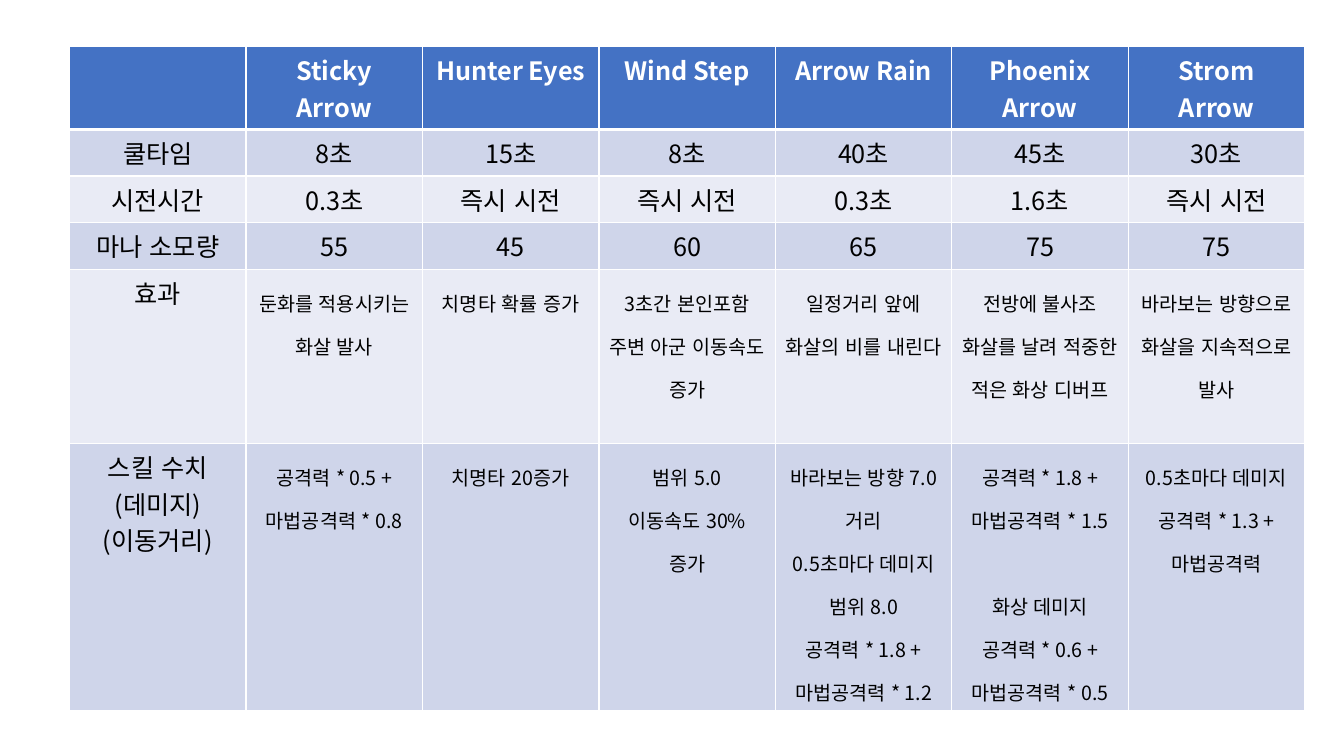
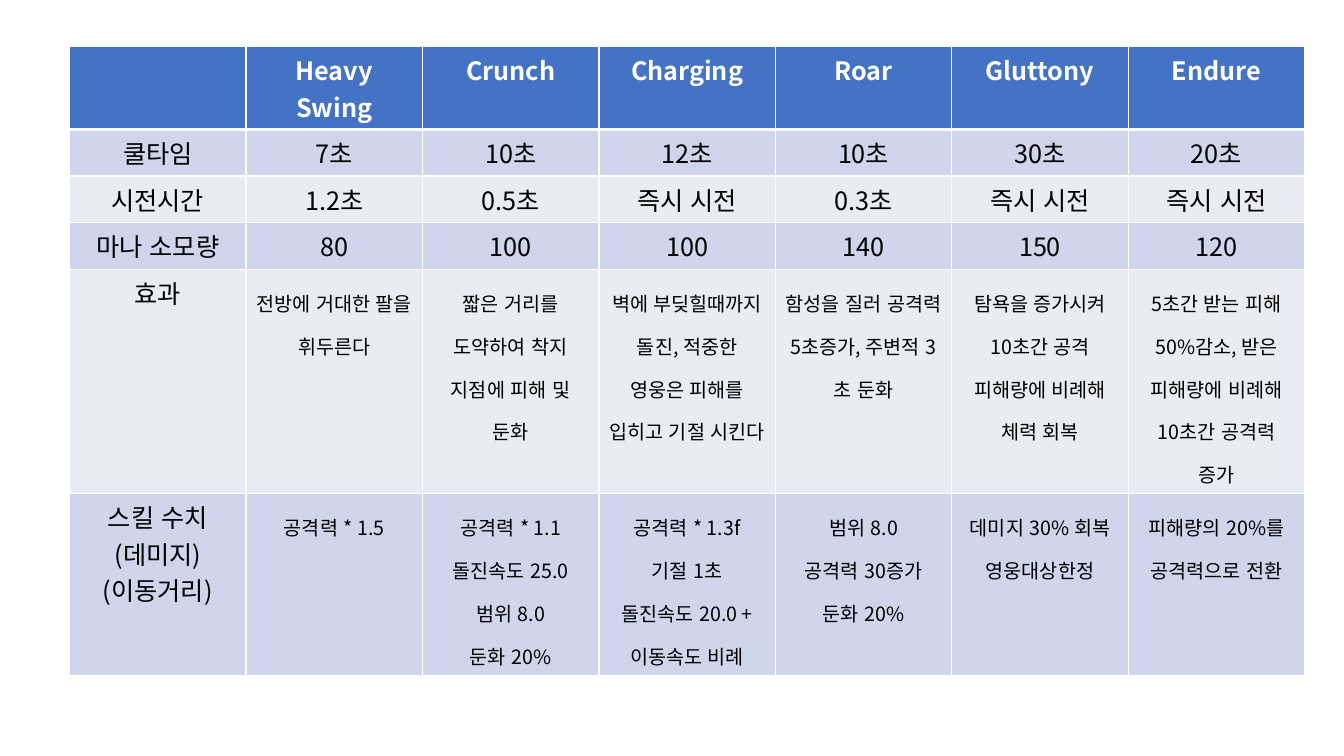
from dataclasses import dataclass

from lxml import etree
from pptx import Presentation
from pptx import util as u
from pptx.dml.color import RGBColor
from pptx.enum import lang, text
from pptx.oxml import ns

COLORS = {
    "header": "4472C4",
    "band_dark": "CFD5EA",
    "band_light": "E9EBF5",
    "white": "FFFFFF",
    "black": "000000",
}
FONT = "Noto Sans CJK KR"
COLUMN_WIDTH = u.Inches(1.75)
ROW_HEIGHTS = [0.76, 0.44, 0.44, 0.44, 1.73, 1.73]
ROW_LABELS = [
    (),
    ("쿨타임",),
    ("시전시간",),
    ("마나 소모량",),
    ("효과",),
    ("스킬 수치", "(데미지)", "(이동거리)"),
]


@dataclass(frozen=True)
class Skill:
    name: str
    cooldown: str
    cast_time: str
    mana: str
    effect: str
    figures: tuple[str, ...]
    burn_figures: tuple[str, ...] = ()


@dataclass(frozen=True)
class TextStyle:
    size: int
    color: str = "black"
    bold: bool = False
    line_spacing: float = 1.0


HEADING = TextStyle(18, "white", bold=True)
VALUE = TextStyle(18)
DETAIL = TextStyle(14, line_spacing=1.5)

INSTANT = "즉시 시전"
ARCHER = [
    Skill("Sticky Arrow", "8초", "0.3초", "55", "둔화를 적용시키는 화살 발사",
          ("공격력 * 0.5 + 마법공격력 * 0.8",)),
    Skill("Hunter Eyes", "15초", INSTANT, "45", "치명타 확률 증가",
          ("치명타 20증가",)),
    Skill("Wind Step", "8초", INSTANT, "60", "3초간 본인포함 주변 아군 이동속도 증가",
          ("범위 5.0", "이동속도 30% 증가")),
    Skill("Arrow Rain", "40초", "0.3초", "65", "일정거리 앞에 화살의 비를 내린다",
          ("바라보는 방향 7.0 거리", "0.5초마다 데미지", "범위 8.0",
           "공격력 * 1.8 + 마법공격력 * 1.2")),
    Skill("Phoenix Arrow", "45초", "1.6초", "75",
          "전방에 불사조 화살를 날려 적중한 적은 화상 디버프",
          ("공격력 * 1.8 + 마법공격력 * 1.5",),
          ("화상 데미지", "공격력 * 0.6 + 마법공격력 * 0.5")),
    Skill("Strom Arrow", "30초", INSTANT, "75",
          "바라보는 방향으로 화살을 지속적으로 발사",
          ("0.5초마다 데미지", "공격력 * 1.3 + 마법공격력")),
]
BEAST = [
    Skill("Heavy Swing", "7초", "1.2초", "80", "전방에 거대한 팔을 휘두른다",
          ("공격력 * 1.5",)),
    Skill("Crunch", "10초", "0.5초", "100",
          "짧은 거리를 도약하여 착지 지점에 피해 및 둔화",
          ("공격력 * 1.1", "돌진속도 25.0", "범위 8.0", "둔화 20%")),
    Skill("Charging", "12초", INSTANT, "100",
          "벽에 부딪힐때까지 돌진, 적중한 영웅은 피해를 입히고 기절 시킨다",
          ("공격력 * 1.3f", "기절 1초", "돌진속도 20.0 + 이동속도 비례")),
    Skill("Roar", "10초", "0.3초", "140",
          "함성을 질러 공격력 5초증가, 주변적 3초 둔화",
          ("범위 8.0", "공격력 30증가", "둔화 20%")),
    Skill("Gluttony", "30초", INSTANT, "150",
          "탐욕을 증가시켜 10초간 공격 피해량에 비례해 체력 회복",
          ("데미지 30% 회복", "영웅대상한정")),
    Skill("Endure", "20초", INSTANT, "120",
          "5초간 받는 피해 50%감소, 받은 피해량에 비례해 10초간 공격력 증가",
          ("피해량의 20%를 공격력으로 전환",)),
]


def rgb(color: str) -> RGBColor:
    return RGBColor.from_string(COLORS[color])


def add_border(cell, side: str, points: float) -> None:
    properties = cell._tc.get_or_add_tcPr()
    line = etree.SubElement(properties, ns.qn(f"a:ln{side}"), w=str(u.Pt(points)))
    fill = etree.SubElement(line, ns.qn("a:solidFill"))
    etree.SubElement(fill, ns.qn("a:srgbClr"), val=COLORS["white"])


def paint_cell(cell, row: int) -> None:
    # Borders precede the fill in the cell properties
    for side in "LRTB":
        under_header = (row, side) in {(0, "B"), (1, "T")}
        add_border(cell, side, 3 if under_header else 1)
    band = "band_dark" if row % 2 else "band_light"
    cell.fill.solid()
    cell.fill.fore_color.rgb = rgb("header" if row == 0 else band)


def write_lines(cell, lines: tuple[str, ...], style: TextStyle, gap_at: int = 0) -> None:
    """Write one paragraph per line, with a one-line gap before line gap_at."""
    for index, words in enumerate(lines):
        frame = cell.text_frame
        paragraph = frame.add_paragraph() if index else frame.paragraphs[0]
        paragraph.alignment = text.PP_ALIGN.CENTER
        paragraph.line_spacing = style.line_spacing
        if index and index == gap_at:
            paragraph.space_before = u.Pt(30.6)
        run = paragraph.add_run()
        run.text = words
        font = run.font
        font.size, font.bold = u.Pt(style.size), style.bold
        font.color.rgb = rgb(style.color)
        font.name = FONT
        font.language_id = lang.MSO_LANGUAGE_ID.KOREAN
        etree.SubElement(run._r.get_or_add_rPr(), ns.qn("a:ea"), typeface=FONT)


def add_skill_slide(deck, skills: list[Skill]) -> None:
    slide = deck.slides.add_slide(deck.slide_layouts[6])
    columns = len(skills) + 1
    table = slide.shapes.add_table(
        len(ROW_HEIGHTS), columns, u.Inches(0.69), u.Inches(0.46),
        COLUMN_WIDTH * columns, u.Inches(sum(ROW_HEIGHTS))).table
    for column in table.columns:
        column.width = COLUMN_WIDTH

    # Row bands and labels
    for row, height in enumerate(ROW_HEIGHTS):
        table.rows[row].height = u.Inches(height)
        for column in range(columns):
            paint_cell(table.cell(row, column), row)
        write_lines(table.cell(row, 0), ROW_LABELS[row], VALUE)

    # One column per skill
    for column, skill in enumerate(skills, start=1):
        write_lines(table.cell(0, column), (skill.name,), HEADING)
        values = (skill.cooldown, skill.cast_time, skill.mana)
        for row, value in enumerate(values, start=1):
            write_lines(table.cell(row, column), (value,), VALUE)
        write_lines(table.cell(4, column), (skill.effect,), DETAIL)
        write_lines(table.cell(5, column), skill.figures + skill.burn_figures,
                    DETAIL, gap_at=len(skill.figures))


def main() -> None:
    deck = Presentation()
    deck.slide_width, deck.slide_height = u.Inches(13.33), u.Inches(7.5)
    for skills in (ARCHER, BEAST):
        add_skill_slide(deck, skills)
    deck.save("out.pptx")


if __name__ == "__main__":
    main()
